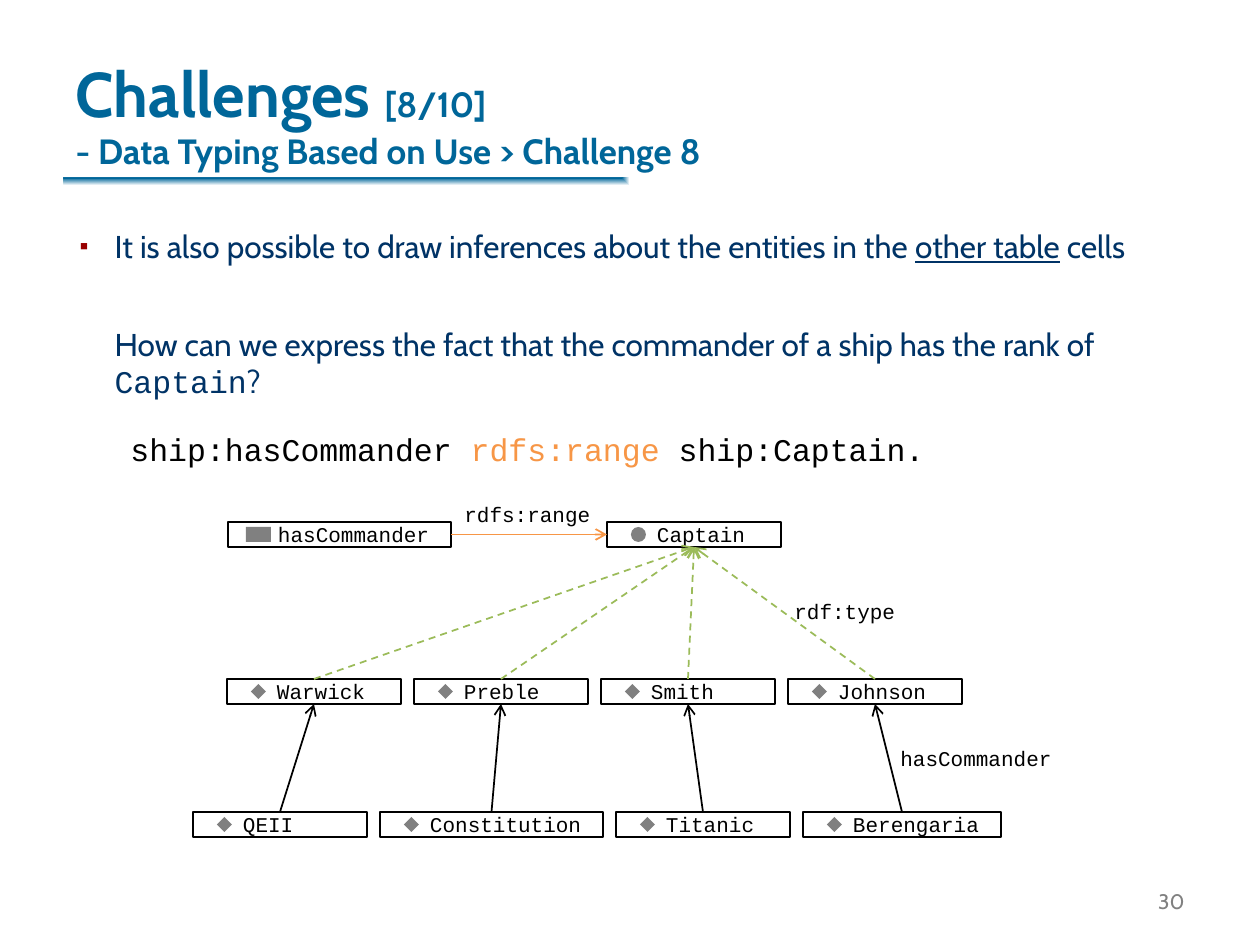
from lxml import etree
from pptx import Presentation
from pptx import util as u
from pptx.dml.color import RGBColor
from pptx.enum import dml, shapes, text
from pptx.oxml import ns

SANS, MONO = "Cabin", "Courier New"
TITLE, BODY, BLACK, GRAY = "006699", "003366", "000000", "808080"
ORANGE, GREEN, RED, WHITE = "F79646", "9BBB59", "990000", "FFFFFF"

HEADING = [("Challenges ", 36), ("[8/10]", 20)]
SUBHEADING = "- Data Typing Based on Use > Challenge 8"
POINT = [
    ("It is also possible to draw inferences about the entities in the ", False),
    ("other table", True),
    (" cells", False),
]
QUESTION = [
    ("How can we express the fact that the commander of a ship has the rank of ", SANS),
    ("Captain", MONO),
    ("?", SANS),
]
TRIPLE = [("ship:hasCommander ", BLACK), ("rdfs:range ", ORANGE), ("ship:Captain.", BLACK)]
COMMANDERS = [("Warwick", 174), ("Preble", 174), ("Smith", 174), ("Johnson", 174)]
SHIPS = [("QEII", 174), ("Constitution", 223), ("Titanic", 174), ("Berengaria", 198)]
LABELS = [
    ("rdfs:range", 452, 495, 154),
    ("rdf:type", 782, 592, 129),
    ("hasCommander", 888, 739, 179),
]
NODE_HEIGHT, NODE_GAP, ICON = 25, 13, 15
TOP, LEFT, BOTTOM, RIGHT = range(4)


def px(length):
    return u.Emu(round(length * 914400 / 126))


def area(*lengths):
    return [px(length) for length in lengths]


def color(value):
    return RGBColor.from_string(value)


def place(shape, *lengths):
    shape.left, shape.top, shape.width, shape.height = area(*lengths)


def add_span(para, words, size, font, tint, bold=False, underline=False):
    span = para.add_run()
    span.text = words
    span.font.size = u.Pt(size)
    span.font.name = font
    span.font.color.rgb = color(tint)
    span.font.bold = bold
    span.font.underline = underline


def add_child(parent, tag, **attributes):
    return etree.SubElement(parent, ns.qn(tag), attributes)


def add_text(*lengths, wrap=False):
    box = page.shapes.add_textbox(*area(*lengths))
    box.text_frame.word_wrap = wrap
    return box.text_frame


def add_shape(kind, fill, *lengths):
    shape = page.shapes.add_shape(kind, *area(*lengths))
    shape.shadow.inherit = False
    shape.fill.solid()
    shape.fill.fore_color.rgb = color(fill)
    shape.line.fill.background()
    return shape


def add_node(name, left, top, width, icon=shapes.MSO_SHAPE.DIAMOND, icon_left=24, icon_width=ICON):
    node = add_shape(shapes.MSO_SHAPE.RECTANGLE, WHITE, left, top, width, NODE_HEIGHT)
    node.line.color.rgb = color(BLACK)
    node.line.width = u.Pt(1)
    frame = node.text_frame
    frame.word_wrap = False
    frame.vertical_anchor = text.MSO_ANCHOR.MIDDLE
    frame.margin_left = px(50)
    frame.margin_right = frame.margin_top = frame.margin_bottom = 0
    para = frame.paragraphs[0]
    para.alignment = text.PP_ALIGN.LEFT
    add_span(para, name, 12, MONO, BLACK)
    add_shape(icon, GRAY, left + icon_left, top + 5, icon_width, ICON)
    return node


def add_row(entries, left, top):
    nodes = []
    for name, width in entries:
        nodes.append(add_node(name, left, top, width))
        left += width + NODE_GAP
    return nodes


def add_arrow(start, start_site, end, end_site, tint, dashed=False):
    arrow = page.shapes.add_connector(shapes.MSO_CONNECTOR.STRAIGHT, 0, 0, 0, 0)
    arrow.begin_connect(start, start_site)
    arrow.end_connect(end, end_site)
    arrow.line.color.rgb = color(tint)
    arrow.line.width = u.Pt(1)
    if dashed:
        arrow.line.dash_style = dml.MSO_LINE.DASH
    properties = arrow._element.spPr
    add_child(properties.find(ns.qn("a:ln")), "a:tailEnd", type="arrow")
    add_child(properties, "a:effectLst")


deck = Presentation()
deck.slide_width, deck.slide_height = area(1260, 945)
page = deck.slides.add_slide(deck.slide_layouts[1])

rule = add_shape(shapes.MSO_SHAPE.RECTANGLE, TITLE, 64, 178, 1131, 15)
rule.fill.gradient()
for stop, tint in zip(rule.fill.gradient_stops, (TITLE, WHITE)):
    stop.color.rgb = color(tint)
gradient = rule._element.spPr.find(ns.qn("a:gradFill"))
gradient.remove(gradient.find(ns.qn("a:lin")))
fade = add_child(gradient, "a:path", path="rect")
add_child(fade, "a:fillToRect", r="100000", b="100000")

title = page.shapes.title
place(title, 63, 0, 1134, 178)
title.text_frame.auto_size = text.MSO_AUTO_SIZE.NONE
title.text_frame.vertical_anchor = text.MSO_ANCHOR.BOTTOM
para = title.text_frame.paragraphs[0]
para.alignment = text.PP_ALIGN.LEFT
for words, size in HEADING:
    add_span(para, words, size, SANS, TITLE, bold=True)
para.add_line_break()
add_span(para, SUBHEADING, 20, SANS, TITLE, bold=True)

body = page.placeholders[1]
place(body, 63, 221, 1134, 624)
frame = body.text_frame
frame.auto_size = text.MSO_AUTO_SIZE.NONE
point, question = frame.paragraphs[0], frame.add_paragraph()
for para, indent, space in ((point, -35, 0), (question, 0, 34)):
    para.space_before = u.Pt(space)
    settings = para._p.get_or_add_pPr()
    settings.set("marL", str(px(39)))
    settings.set("indent", str(px(indent)))
settings = point._p.pPr
add_child(add_child(settings, "a:buClr"), "a:srgbClr", val=RED)
add_child(settings, "a:buSzPct", val="80000")
add_child(settings, "a:buChar", char="▪")
add_child(question._p.pPr, "a:buNone")
for words, underline in POINT:
    add_span(point, words, 18, SANS, BODY, underline=underline)
for words, font in QUESTION:
    add_span(question, words, 18, font, BODY)

number = add_text(1131, 876, 66, 50, wrap=True)
number.vertical_anchor = text.MSO_ANCHOR.MIDDLE
number.paragraphs[0].alignment = text.PP_ALIGN.RIGHT
add_span(number.paragraphs[0], "30", 12, SANS, GRAY)

triple = add_text(118, 424, 823, 50).paragraphs[0]
for words, tint in TRIPLE:
    add_span(triple, words, 18, MONO, tint)

captain = add_node("Captain", 607, 522, 174, shapes.MSO_SHAPE.OVAL)
relation = add_node("hasCommander", 228, 522, 223, shapes.MSO_SHAPE.RECTANGLE, 18, 25)
commanders = add_row(COMMANDERS, 227, 679)
ships = add_row(SHIPS, 193, 812)

add_arrow(relation, RIGHT, captain, LEFT, ORANGE)
for commander, ship in zip(commanders, ships):
    add_arrow(commander, TOP, captain, BOTTOM, GREEN, dashed=True)
    add_arrow(ship, TOP, commander, BOTTOM, BLACK)

for words, left, top, width in LABELS:
    add_span(add_text(left, top, width, 38).paragraphs[0], words, 12, MONO, BLACK)

deck.save("out.pptx")
